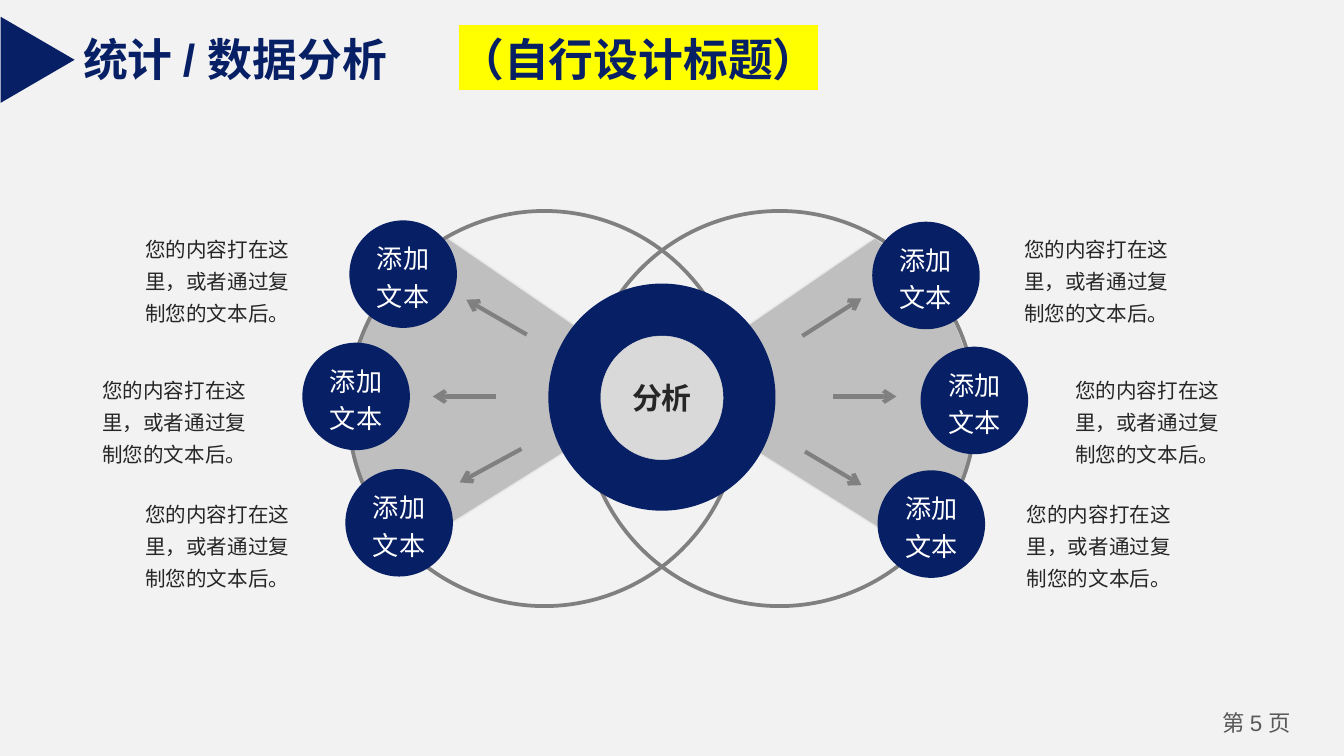
"""Build a data analysis slide with two overlapping circles, six topics and their notes."""
import pptx
import pptx.dml.color
import pptx.enum.shapes
import pptx.enum.text
import pptx.oxml
import pptx.oxml.ns
import pptx.util
from lxml import etree

Inches = pptx.util.Inches
SHAPE = pptx.enum.shapes.MSO_SHAPE
ALIGN = pptx.enum.text.PP_ALIGN
ANCHOR = pptx.enum.text.MSO_ANCHOR
qn = pptx.oxml.ns.qn

SLIDE_WIDTH = 10
SLIDE_HEIGHT = SLIDE_WIDTH * 9 / 16
COLORS = {
    "background": "F2F2F2", "navy": "071F65", "wedge": "BFBFBF", "wedge_edge": "E6E6E6",
    "gray": "808080", "core": "D9D9D9", "core_edge": "D7D7D7", "text": "262626",
    "page": "595959", "white": "FFFFFF", "highlight": "FFFF00",
}
CJK_FONT = "Noto Sans CJK SC"
TITLE = "统计 / 数据分析\t"
TITLE_HINT = "（自行设计标题）"
PAGE_PARTS = [("第 ", CJK_FONT), ("5 ", "Arial"), ("页", CJK_FONT)]
TOPIC = "添加文本"
NOTE = "您的内容打在这里，或者通过复制您的文本后。"

WEDGE_START = (7.05, 2.3)
WEDGE_SEGMENTS = [
    [(6.82, 1.98), (6.87, 2.01), (6.51, 1.77)],
    [(4.88, 2.89)],
    [(6.81, 4.1)],
    [(7.28, 3.52), (7.23, 3.32), (7.25, 3.02)],
    [(7.24, 2.78), (7.18, 2.52), (7.05, 2.3)],
]
MIRROR_WIDTH = 9.84
CURVE_STEPS = 10
OUTLINE_LEFTS = [2.59, 4.34]
ARROWS = [
    ((3.92, 2.49), (3.47, 2.23)), ((3.69, 2.95), (3.22, 2.95)), ((3.88, 3.34), (3.42, 3.59)),
    ((5.99, 3.36), (6.41, 3.61)), ((6.2, 2.95), (6.67, 2.95)), ((5.97, 2.5), (6.41, 2.22)),
]
TOPICS = [(2.6, 1.64), (6.49, 1.65), (6.85, 2.58), (6.53, 3.5), (2.25, 2.55), (2.57, 3.49)]
TOPIC_SIZE = 0.8
NOTES = [(1.01, 1.67), (7.55, 1.67), (0.69, 2.72), (7.93, 2.72), (7.57, 3.64), (1.01, 3.64)]
NOTE_SIZE = (1.32, 0.81)
SMALL_INSETS = (0.07, 0.04)


def rgb(name):
    return pptx.dml.color.RGBColor.from_string(COLORS[name])


def paint(shape, fill=None, line=None, width=1):
    shape.shadow.inherit = False
    if fill:
        shape.fill.solid()
        shape.fill.fore_color.rgb = rgb(fill)
    else:
        shape.fill.background()
    if line:
        shape.line.color.rgb = rgb(line)
        shape.line.width = pptx.util.Pt(width)
    else:
        shape.line.fill.background()


def add_preset(shapes, kind, box, **style):
    shape = shapes.add_shape(kind, *map(Inches, box))
    paint(shape, **style)
    return shape


def write(shape, parts, size, font, color, bold=False, align=ALIGN.LEFT,
          spacing=None, insets=(0.1, 0.05), anchor=ANCHOR.TOP):
    frame = shape.text_frame
    frame.word_wrap = True
    frame.vertical_anchor = anchor
    frame.margin_left = frame.margin_right = Inches(insets[0])
    frame.margin_top = frame.margin_bottom = Inches(insets[1])
    paragraph = frame.paragraphs[0]
    paragraph.alignment = align
    if spacing:
        paragraph.line_spacing = spacing
    paragraph.font.size = pptx.util.Pt(size)
    paragraph.font.name = font
    paragraph.font.bold = bold
    paragraph.font.color.rgb = rgb(color)
    defaults = paragraph._p.pPr.find(qn("a:defRPr"))
    etree.SubElement(defaults, qn("a:ea"), typeface=CJK_FONT)
    for part in parts:
        paragraph.add_run().text = part
    return paragraph


def curve_points(start, controls):
    points = [start, *controls]
    for step in range(1, CURVE_STEPS + 1):
        t = step / CURVE_STEPS
        weights = ((1 - t) ** 3, 3 * t * (1 - t) ** 2, 3 * t ** 2 * (1 - t), t ** 3)
        yield tuple(sum(w * point[axis] for w, point in zip(weights, points)) for axis in (0, 1))


def wedge_outline():
    outline = [WEDGE_START]
    for segment in WEDGE_SEGMENTS:
        outline.extend(curve_points(outline[-1], segment) if len(segment) == 3 else segment)
    return outline


def add_wedge(shapes, outline):
    points = [(Inches(x), Inches(y)) for x, y in outline]
    builder = shapes.build_freeform(*points[0])
    builder.add_line_segments(points[1:])
    paint(builder.convert_to_shape(), "wedge", "wedge_edge", 0.75)


def add_arrow(shapes, start, end):
    arrow = shapes.add_connector(pptx.enum.shapes.MSO_CONNECTOR.STRAIGHT,
                                 *map(Inches, start + end))
    arrow.line.color.rgb = rgb("gray")
    arrow.line.width = pptx.util.Pt(2.25)
    properties = arrow._element.spPr
    etree.SubElement(properties.find(qn("a:ln")), qn("a:tailEnd"), type="arrow")
    etree.SubElement(properties, qn("a:effectLst"))


def add_title(shapes):
    triangle = add_preset(shapes, SHAPE.ISOSCELES_TRIANGLE, (-0.04, 0.17, 0.64, 0.55), fill="navy")
    triangle.rotation = 90
    box = shapes.add_textbox(*map(Inches, (0.52, 0.19, 5.7, 0.5)))
    paragraph = write(box, [TITLE, TITLE_HINT], 24, "Arial", "navy", bold=True)
    tabs = etree.Element(qn("a:tabLst"))
    etree.SubElement(tabs, qn("a:tab"), pos=str(Inches(2.8)), algn="l")
    paragraph._p.pPr.find(qn("a:defRPr")).addprevious(tabs)
    highlight = etree.SubElement(paragraph.runs[1]._r.get_or_add_rPr(), qn("a:highlight"))
    etree.SubElement(highlight, qn("a:srgbClr"), val=COLORS["highlight"])


def main():
    presentation = pptx.Presentation()
    presentation.slide_width = Inches(SLIDE_WIDTH)
    presentation.slide_height = Inches(SLIDE_HEIGHT)
    slide = presentation.slides.add_slide(presentation.slide_layouts[6])
    slide.background.fill.solid()
    slide.background.fill.fore_color.rgb = rgb("background")
    shapes = slide.shapes

    page = shapes.add_textbox(*map(Inches, (8.9, 5.24, 0.9, 0.3)))
    paragraph = write(page, [text for text, font in PAGE_PARTS], 12, CJK_FONT, "page",
                      align=ALIGN.CENTER, insets=SMALL_INSETS)
    for run, (text, font) in zip(paragraph.runs, PAGE_PARTS):
        run.font.name = font

    outline = wedge_outline()
    add_wedge(shapes, outline)
    add_wedge(shapes, [(MIRROR_WIDTH - x, y) for x, y in outline])
    for left in OUTLINE_LEFTS:
        add_preset(shapes, SHAPE.OVAL, (left, 1.57, 2.92, 2.94), line="gray", width=2)
    for start, end in ARROWS:
        add_arrow(shapes, start, end)

    hub = shapes.add_group_shape().shapes
    add_preset(hub, SHAPE.OVAL, (4.08, 2.11, 1.69, 1.69), fill="navy")
    core = add_preset(hub, SHAPE.OVAL, (4.47, 2.5, 0.91, 0.92),
                      fill="core", line="core_edge", width=0.25)
    write(core, ["分析"], 16, "Roboto Condensed", "text", bold=True,
          align=ALIGN.CENTER, anchor=ANCHOR.MIDDLE)

    for left, top in TOPICS:
        topic = add_preset(shapes, SHAPE.OVAL, (left, top, TOPIC_SIZE, TOPIC_SIZE), fill="navy")
        write(topic, [TOPIC], 14, "Arial", "white", align=ALIGN.CENTER,
              spacing=1.2, insets=SMALL_INSETS, anchor=ANCHOR.MIDDLE)
    for position in NOTES:
        note = shapes.add_textbox(*map(Inches, position + NOTE_SIZE))
        write(note, [NOTE], 11, CJK_FONT, "text", spacing=1.3, insets=SMALL_INSETS)

    add_title(shapes)
    presentation.save("out.pptx")


if __name__ == "__main__":
    main()
